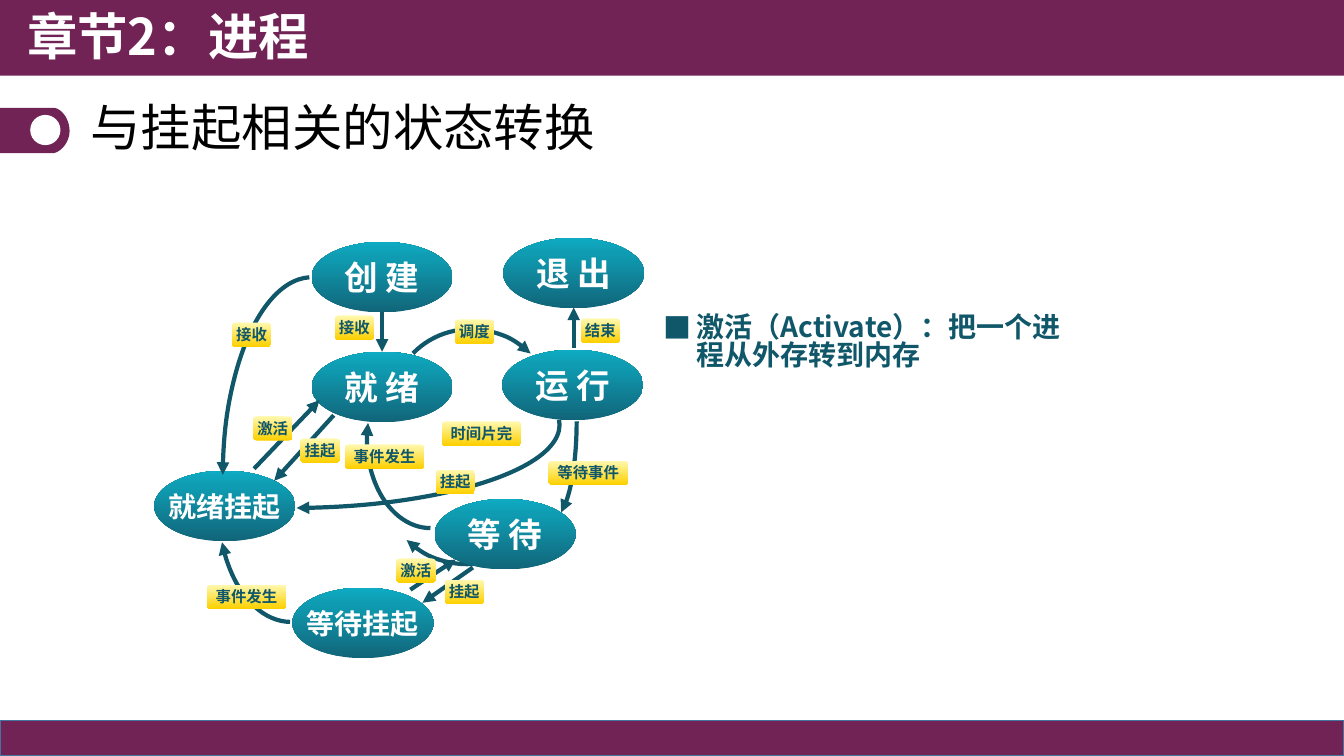
from copy import deepcopy

from lxml.etree import SubElement
from pptx import Presentation
from pptx.dml.color import RGBColor
from pptx.enum.shapes import MSO_CONNECTOR as Link, MSO_SHAPE as Shape
from pptx.enum.text import MSO_ANCHOR as Anchor, PP_ALIGN as Align
from pptx.oxml.ns import qn
from pptx.util import Inches, Pt

FONT = "Noto Sans CJK SC"
PURPLE, TEAL, WHITE, BLACK = "712355", "11576A", "FFFFFF", "000000"
STATE_STOPS = [(0, "116579"), (0.77, "0F9BB1"), (1, "0EABC2")]
LABEL_STOPS = [(0, "FFF9B1"), (1, "FDD000"), (1, "E1EBFB")]

STATES = [
    ("创 建", 1.59, 0.1, 24), ("就 绪", 1.59, 1.19, 24),
    ("运 行", 3.48, 1.17, 24), ("等 待", 2.81, 2.65, 24),
    ("退 出", 3.49, 0.06, 24), ("就绪挂起", 0.03, 2.37, 20),
    ("等待挂起", 1.4, 3.53, 20),
]
ARCS_BEHIND = [
    (3.72, 0.9, 0.5, 1.96, 0.079, 50.345, 0, "", "tailEnd"),
    (2.27, 1.59, 1.67, 1.72, 160.583, 215.561, 134, "", "tailEnd"),
]
ARCS_IN_FRONT = [
    (2.39, 0.95, 1.62, 1.68, 162, 0, 314, "", "tailEnd"),
    (-1.34, 1.09, 5.39, 1.65, 215.376, 50.368, 0, "", "tailEnd"),
    (2.14, 1.18, 1.26, 1.76, 207.141, 54, 0, "H", "headEnd"),
    (0.67, 1.62, 1.43, 2.25, 15.675, 53.778, 0, "H", "headEnd"),
    (0.71, 0.45, 1.77, 3.95, 0.537, 53.536, 0, "HV", "headEnd"),
]
ARROWS = [
    (2.29, 0.8, 2.29, 1.19), (4.19, 1.15, 4.19, 0.75),
    (3.19, 3.33, 2.69, 3.68), (2.57, 3.55, 3.02, 3.25),
    (1.02, 2.35, 1.67, 1.67), (1.81, 1.82, 1.22, 2.47),
]
LABELS = [
    ("挂起", 2.82, 2.36), ("接收", 0.8, 0.9), ("事件发生", 0.55, 3.5),
    ("接收", 1.82, 0.83), ("激活", 1.01, 1.83), ("挂起", 1.48, 2.05),
    ("事件发生", 1.92, 2.11), ("激活", 2.43, 3.24), ("挂起", 2.91, 3.45),
    ("等待事件", 3.94, 2.27), ("时间片完", 2.88, 1.88), ("调度", 3.01, 0.87),
    ("结束", 4.26, 0.86),
]


def rgb(color):
    return RGBColor.from_string(color)


def add_run(paragraph, text, size, color, bold=True):
    run = paragraph.add_run()
    run.text = text
    run.font.size = Pt(size)
    run.font.bold = bold
    run.font.name = FONT
    run.font.color.rgb = rgb(color)
    SubElement(run.font._element, qn("a:ea"), typeface=FONT)


def add_textbox(slide, left, top, width, height):
    frame = slide.shapes.add_textbox(
        Inches(left), Inches(top), Inches(width), Inches(height)).text_frame
    frame.word_wrap = True
    return frame


def add_plain(slide, kind, left, top, width, height, color=None):
    shape = slide.shapes.add_shape(
        kind, Inches(left), Inches(top), Inches(width), Inches(height))
    shape.shadow.inherit = False
    shape.line.fill.background()
    if color:
        shape.fill.solid()
        shape.fill.fore_color.rgb = rgb(color)
    else:
        shape.fill.background()
    return shape


def fill_gradient(shape, stops, angle):
    shape.fill.gradient()
    shape.fill.gradient_angle = angle
    stop_list = next(shape.element.iter(qn("a:gsLst")))
    stop_list.append(deepcopy(stop_list[-1]))
    for stop, (position, color) in zip(shape.fill.gradient_stops, stops):
        stop.position = position
        stop.color.rgb = rgb(color)


def center_text(shape, text, size, color):
    frame = shape.text_frame
    frame.word_wrap = False
    frame.vertical_anchor = Anchor.MIDDLE
    frame.margin_left = frame.margin_right = 0
    frame.margin_top = frame.margin_bottom = 0
    frame.paragraphs[0].alignment = Align.CENTER
    add_run(frame.paragraphs[0], text, size, color)


def style_arrow(line, end):
    line.color.rgb = rgb(TEAL)
    line.width = Pt(3)
    SubElement(line._get_or_add_ln(), qn(f"a:{end}"), type="triangle")


def add_arc(slide, left, top, width, height, start, stop, turn, flips, end):
    arc = add_plain(slide, Shape.ARC, left, top, width, height)
    arc.adjustments[0] = start
    arc.adjustments[1] = stop
    arc.rotation = turn
    for flip in flips:
        arc.element.spPr.find(qn("a:xfrm")).set(f"flip{flip}", "1")
    style_arrow(arc.line, end)


def add_arrow(slide, x1, y1, x2, y2):
    arrow = slide.shapes.add_connector(
        Link.STRAIGHT, Inches(x1), Inches(y1), Inches(x2), Inches(y2))
    style_arrow(arrow.line, "tailEnd")
    SubElement(arrow._element.spPr, qn("a:effectLst"))


def add_bands(slide, width, height):
    footer = add_plain(slide, Shape.RECTANGLE, 0, height - 0.35, width, 0.35, PURPLE)
    footer.line.color.rgb = rgb("43739E")
    footer.line.width = Pt(1)
    add_plain(slide, Shape.RECTANGLE, 0, 0, width, 0.75, PURPLE)
    chapter = add_textbox(slide, 0.17, 0, 6.67, 0.77)
    add_run(chapter.paragraphs[0], "章节2：进程", 36, WHITE)


def bezier(p0, p1, p2, p3, steps=12):
    for step in range(1, steps + 1):
        t = step / steps
        weights = ((1 - t) ** 3, 3 * t * (1 - t) ** 2, 3 * t * t * (1 - t), t ** 3)
        yield tuple(sum(w * p[axis] for w, p in zip(weights, (p0, p1, p2, p3)))
                    for axis in (0, 1))


def add_heading(slide, left, top):
    outline = [(0.53, 0),
               *bezier((0.53, 0), (0.6, 0), (0.69, 0.1), (0.69, 0.23)),
               *bezier((0.69, 0.23), (0.69, 0.35), (0.59, 0.45), (0.52, 0.45)),
               (0, 0.45)]
    builder = slide.shapes.build_freeform(Inches(left), Inches(top))
    builder.add_line_segments(
        [(Inches(left + x), Inches(top + y)) for x, y in outline], close=True)
    tab = builder.convert_to_shape()
    tab.shadow.inherit = False
    tab.fill.solid()
    tab.fill.fore_color.rgb = rgb(PURPLE)
    tab.line.fill.background()
    add_plain(slide, Shape.OVAL, left + 0.3, top + 0.07, 0.3, 0.3, WHITE)

    heading = add_textbox(slide, left + 0.8, top - 0.2, 10, 0.85)
    heading.vertical_anchor = Anchor.MIDDLE
    heading.paragraphs[0].line_spacing = 0.9
    add_run(heading.paragraphs[0], "与挂起相关的状态转换", 36, BLACK, False)


def add_state_diagram(slide, left, top):
    for x, y, *arc in ARCS_BEHIND:
        add_arc(slide, left + x, top + y, *arc)
    for name, x, y, size in STATES:
        state = add_plain(slide, Shape.OVAL, left + x, top + y, 1.4, 0.7)
        fill_gradient(state, STATE_STOPS, 90)
        center_text(state, name, size, WHITE)
    for x, y, *arc in ARCS_IN_FRONT:
        add_arc(slide, left + x, top + y, *arc)
    for x1, y1, x2, y2 in ARROWS:
        add_arrow(slide, left + x1, top + y1, left + x2, top + y2)
    for name, x, y in LABELS:
        width = 0.39 if len(name) == 2 else 0.79
        label = add_plain(slide, Shape.ROUNDED_RECTANGLE, left + x, top + y, width, 0.24)
        fill_gradient(label, LABEL_STOPS, 270)
        center_text(label, name, 11, TEAL)


def add_definition(slide, left, top, width, height):
    definition = add_textbox(slide, left, top, width, height).paragraphs[0]
    definition.line_spacing = Pt(20)
    props = definition._p.get_or_add_pPr()
    props.set("marL", str(Inches(0.33)))
    props.set("indent", str(-Inches(0.33)))
    SubElement(props, qn("a:buFont"), typeface="Noto Sans CJK JP")
    SubElement(props, qn("a:buChar"), char="■")
    add_run(definition, "激活（Activate）：把一个进程从外存转到内存", 20, TEAL)


def main():
    deck = Presentation()
    deck.slide_width, deck.slide_height = Inches(13.33), Inches(7.5)
    slide = deck.slides.add_slide(deck.slide_layouts[6])
    add_bands(slide, 13.33, 7.5)
    add_heading(slide, 0, 1.07)
    add_state_diagram(slide, 1.5, 2.3)
    add_definition(slide, 6.48, 3.08, 4.33, 0.86)
    deck.save("out.pptx")


if __name__ == "__main__":
    main()
